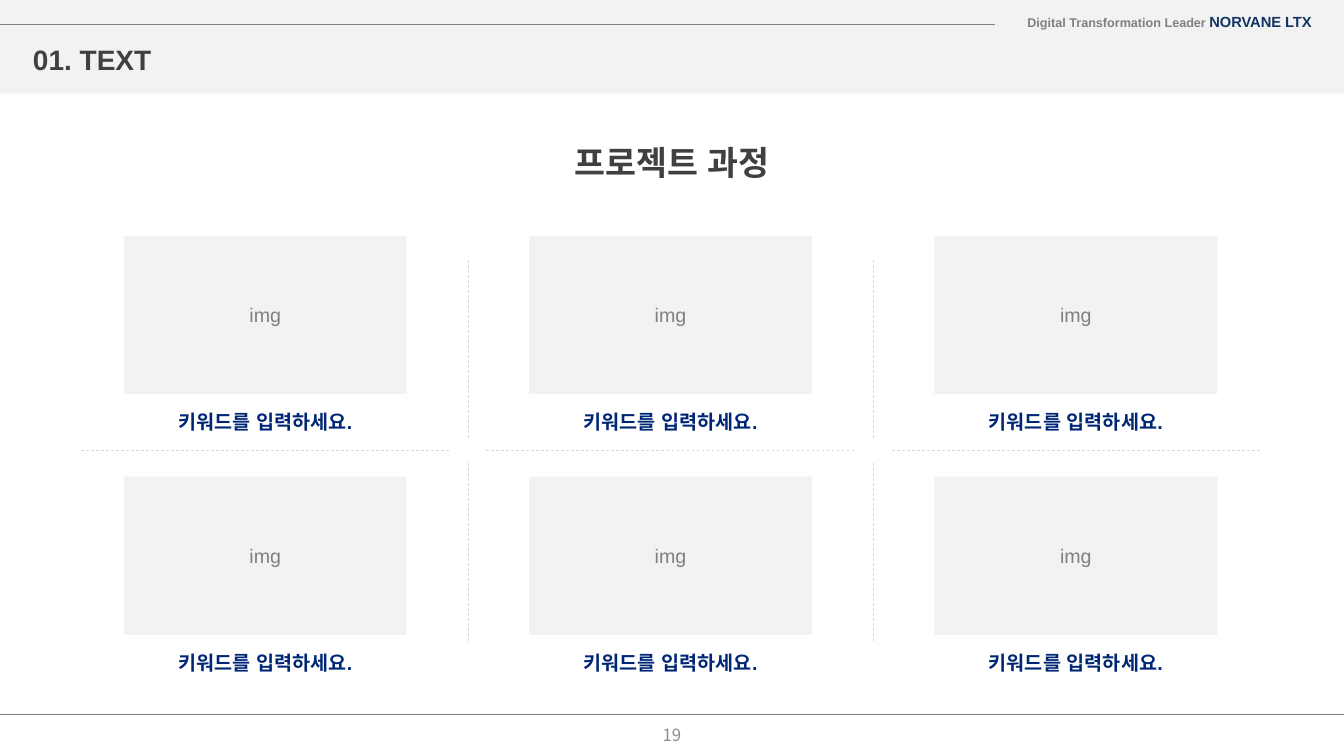
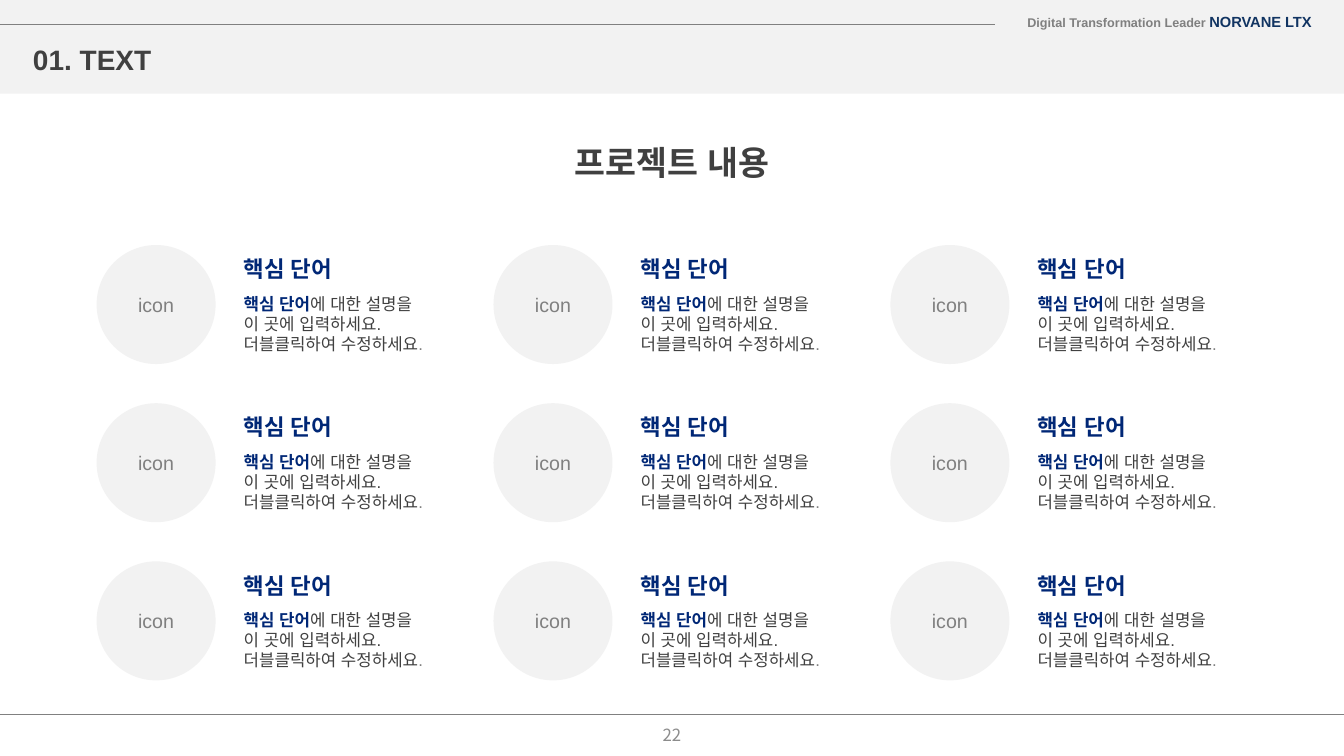
from itertools import product

from lxml import etree
from pptx import Presentation
from pptx.dml.color import RGBColor
from pptx.enum.dml import MSO_LINE
from pptx.enum.shapes import MSO_CONNECTOR, MSO_SHAPE
from pptx.enum.text import MSO_ANCHOR, PP_ALIGN
from pptx.oxml.ns import qn
from pptx.util import Pt

STRAIGHT = MSO_CONNECTOR.STRAIGHT
DASH = MSO_LINE.DASH
RECT, OVAL = MSO_SHAPE.RECTANGLE, MSO_SHAPE.OVAL
TOP, MIDDLE = MSO_ANCHOR.TOP, MSO_ANCHOR.MIDDLE
LEFT, CENTER, RIGHT = PP_ALIGN.LEFT, PP_ALIGN.CENTER, PP_ALIGN.RIGHT

WIDTH, HEIGHT = 960, 540
FONT, NUMFONT = "Arial", "Noto Sans CJK KR"
COLORS = {
    "panel": "F2F2F2",
    "rule": "808080",
    "dash": "D9D9D9",
    "dark": "404040",
    "gray": "808080",
    "blue": "002776",
    "navy": "113462",
    "page": "8C8C8C",
}


def color(key):
    return RGBColor.from_string(COLORS[key])


# Text: each line is a string or a list of (string, overrides) runs
def write(frame, lines, align=LEFT, anchor=MIDDLE, spacing=None, **base):
    frame.word_wrap = True
    frame.vertical_anchor = anchor
    for i, line in enumerate(lines):
        para = frame.paragraphs[0] if i == 0 else frame.add_paragraph()
        para.alignment = align
        if spacing:
            para.line_spacing = spacing
        runs = [(line, {})] if isinstance(line, str) else line
        for words, extra in runs:
            style(para, words, **{**base, **extra})


def style(para, words, size=12, ink="dark", bold=False, face=FONT):
    run = para.add_run()
    run.text = words
    font = run.font
    font.size, font.bold, font.name = Pt(size), bold, face
    font.color.rgb = color(ink)
    asian = etree.SubElement(run._r.get_or_add_rPr(), qn("a:ea"))
    asian.set("typeface", face)


def label(slide, x, y, w, h, *lines, **format):
    box = slide.shapes.add_textbox(Pt(x), Pt(y), Pt(w), Pt(h))
    write(box.text_frame, lines, **format)


# Filled shape, with an optional caption
def panel(slide, kind, x, y, w, h, words=None):
    shape = slide.shapes.add_shape(kind, Pt(x), Pt(y), Pt(w), Pt(h))
    shape.shadow.inherit = False
    shape.fill.solid()
    shape.fill.fore_color.rgb = color("panel")
    shape.line.fill.background()
    if words:
        write(shape.text_frame, [words], align=CENTER, size=14, ink="gray")


def rule(slide, x, y, w=0, h=0, ink="rule", dash=None):
    line = slide.shapes.add_connector(
        STRAIGHT, Pt(x), Pt(y), Pt(x + w), Pt(y + h))
    line.line.color.rgb = color(ink)
    line.line.width = Pt(0.5)
    if dash:
        line.line.dash_style = dash
    etree.SubElement(line._element.spPr, qn("a:effectLst"))


# Header, title and footer shared by the slides
def start(deck, title, page):
    slide = deck.slides.add_slide(deck.slide_layouts[6])
    panel(slide, RECT, 0, 0, WIDTH, 67)
    label(slide, 718, 7, 226, 20,
          [("Digital Transformation Leader ", {}),
           ("NORVANE LTX", {"size": 10.5, "ink": "navy"})],
          align=RIGHT, spacing=0.7, size=9, ink="gray", bold=True)
    label(slide, 16.5, 27.5, 374, 30, "01. TEXT", size=20, bold=True)
    rule(slide, 0, 17.25, 710.5)
    rule(slide, 0, 510.25, WIDTH)
    label(slide, 293, 101, 374, 30, title, align=CENTER, size=24, bold=True)
    label(slide, 372, 510.5, 216, 29, page,
          align=CENTER, ink="page", face=NUMFONT)
    return slide


# Six pictures with keywords, parted by dashed lines
def process(deck):
    slide = start(deck, "프로젝트 과정", "19")
    step = 289.5
    for col in range(3):
        rule(slide, 58 + col * step, 321.75, w=263, ink="dash", dash=DASH)
    for col, row in product(range(2), range(2)):
        rule(slide, 334.5 + col * step, 186 + row * 145, h=128,
             ink="dash", dash=DASH)
    for row, col in product(range(2), range(3)):
        x, y = 88.5 + col * step, 168.5 + row * 172
        panel(slide, RECT, x, y, 202, 113, "img")
        label(slide, x + 6.5, y + 117.5, 189, 30, "키워드를 입력하세요.",
              align=CENTER, size=14, ink="blue", bold=True)


# Nine icons with a heading and a description
def content(deck):
    slide = start(deck, "프로젝트 내용", "22")
    word = "핵심 단어"
    for row, col in product(range(3), range(3)):
        x, y = 69 + col * 283.5, 175 + row * 113
        panel(slide, OVAL, x, y, 85, 85, "icon")
        label(slide, x + 98, y + 3.5, 114, 27, word,
              size=16, ink="blue", bold=True)
        label(slide, x + 98, y + 31, 156, 51,
              [(word, {"ink": "blue", "bold": True}), ("에 대한 설명을", {})],
              "이 곳에 입력하세요.",
              [("더블클릭하여 수정하세요", {}), (".", {"ink": "gray"})],
              anchor=TOP)


def main():
    deck = Presentation()
    deck.slide_width, deck.slide_height = Pt(WIDTH), Pt(HEIGHT)
    process(deck)
    content(deck)
    deck.save("out.pptx")


if __name__ == "__main__":
    main()
